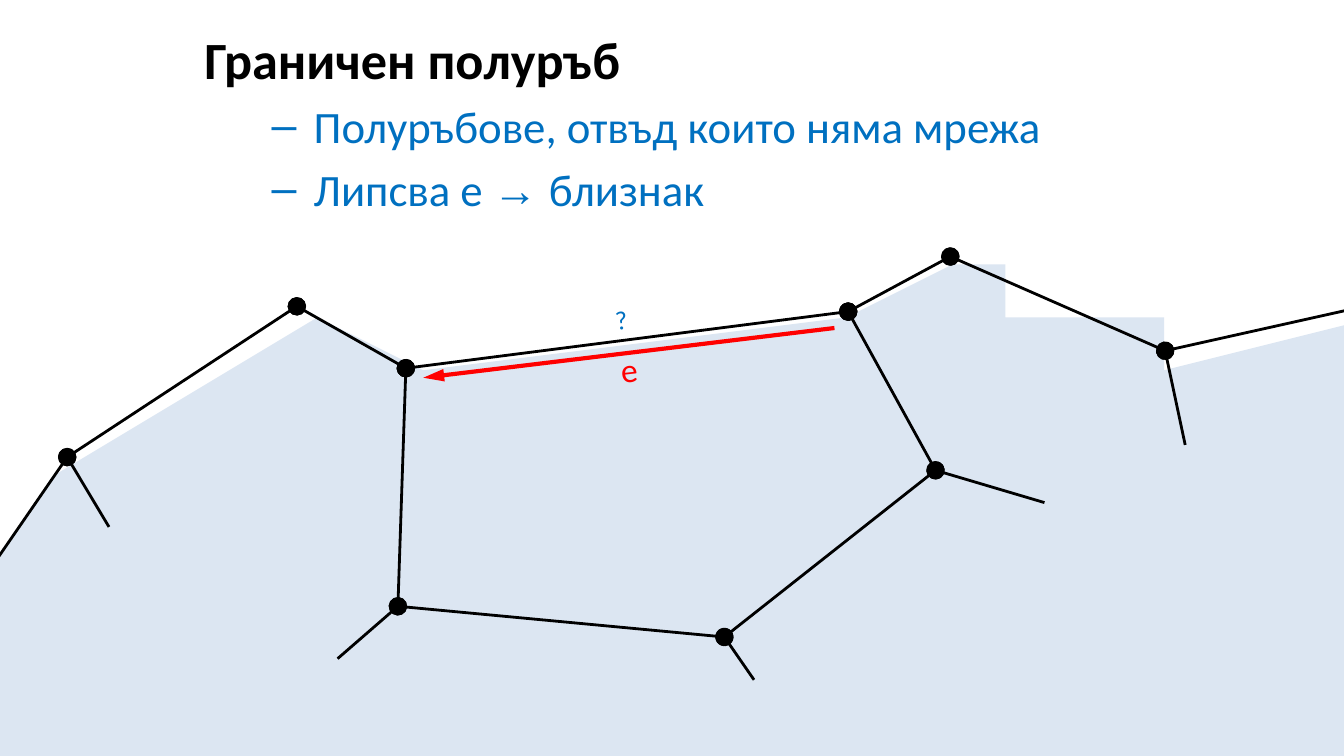
import lxml.etree
import pptx
import pptx.dml.color
import pptx.enum.text
import pptx.oxml.ns
import pptx.util

Cm, Pt = pptx.util.Cm, pptx.util.Pt
qn = pptx.oxml.ns.qn

COLORS = {"heading": "000000", "text": "0070C0", "mesh": "DCE6F2",
          "edge": "000000", "half_edge": "FF0000"}

# Mesh vertices, in cm
VERTICES = {
    "far_left": (-1.07, 12.04), "left": (1.27, 8.64), "left_peak": (5.61, 5.79),
    "face_left": (7.67, 6.96), "face_right": (16.03, 5.89),
    "right_peak": (17.96, 4.85), "right": (22.02, 6.63), "far_right": (26.01, 5.74),
    "inner_right": (17.68, 8.89), "inner_bottom": (13.69, 12.04),
    "inner_left": (7.52, 11.46),
}
BOUNDARY = ["far_left", "left", "left_peak", "face_left", "face_right",
            "right_peak", "right", "far_right"]
INNER_PATH = ["face_right", "inner_right", "inner_bottom", "inner_left", "face_left"]
# Edges that fade out inside the mesh: start vertex and free end
STUBS = {"left": (2.06, 9.96), "inner_left": (6.38, 12.45),
         "inner_bottom": (14.25, 12.85), "inner_right": (19.74, 9.5),
         "right": (22.4, 8.41)}


def rgb(name):
    return pptx.dml.color.RGBColor.from_string(COLORS[name])


def style_run(run, size, color, font="Calibri", bold=False):
    run.font.size = Pt(size)
    run.font.name = font
    run.font.bold = bold
    run.font.color.rgb = rgb(color)


def curve(start, control_1, control_2, end, steps=16):
    """Points of a cubic curve, without its start."""
    points = []
    for step in range(1, steps + 1):
        t = step / steps
        weights = ((1 - t) ** 3, 3 * t * (1 - t) ** 2, 3 * t * t * (1 - t), t ** 3)
        corners = (start, control_1, control_2, end)
        points.append(tuple(sum(w * c[axis] for w, c in zip(weights, corners))
                            for axis in (0, 1)))
    return points


def add_line(slide, start, end, color="edge", width=1.5, ends=()):
    """ends holds (tag, type, width, length) for each line end."""
    line = slide.shapes.add_connector(
        pptx.enum.shapes.MSO_CONNECTOR.STRAIGHT, *(Cm(v) for v in start + end))
    line.line.color.rgb = rgb(color)
    line.line.width = Pt(width)
    outline = line.line._get_or_add_ln()
    for tag, kind, across, length in ends:
        lxml.etree.SubElement(outline, qn(tag), type=kind, w=across, len=length)
    lxml.etree.SubElement(line._element.spPr, qn("a:effectLst"))


def add_edges(slide, names):
    dots = [(tag, "oval", "lg", "lg") for tag in ("a:headEnd", "a:tailEnd")]
    for first, second in zip(names, names[1:]):
        add_line(slide, VERTICES[first], VERTICES[second], ends=dots)


def add_mesh_region(slide):
    corner = (25.55, 14.6)
    outline = [VERTICES[name] for name in BOUNDARY[1:6]]
    outline += curve(outline[-1], (18.9, 5.28), (20.27, 5.87), VERTICES["right"])
    outline.append(VERTICES["far_right"])
    outline += curve(outline[-1], (26.59, 7.09), (29.69, 13.64), corner)
    outline.append((-2.87, 14.73))
    builder = slide.shapes.build_freeform(*outline[0], scale=float(Cm(1)))
    builder.add_line_segments(outline[1:], close=True)
    region = builder.convert_to_shape()
    region.shadow.inherit = False
    region.fill.solid()
    region.fill.fore_color.rgb = rgb("mesh")
    region.line.fill.background()


def add_label(slide, text, box, size, color, rotation):
    label = slide.shapes.add_textbox(*(Cm(v) for v in box))
    label.rotation = rotation
    label.text_frame.word_wrap = False
    label.text_frame.text = text
    style_run(label.text_frame.paragraphs[0].runs[0], size, color)


def fill_body(body):
    body.left, body.top, body.width, body.height = (
        Cm(v) for v in (3.61, 0.38, 21.79, 13.13))
    frame = body.text_frame
    frame.auto_size = pptx.enum.text.MSO_AUTO_SIZE.NONE

    # Heading line, without bullet or indent
    frame.text = "Граничен полуръб"
    heading = frame.paragraphs[0]
    heading.space_before = Pt(0)
    properties = heading._p.get_or_add_pPr()
    properties.set("marL", "0")
    properties.set("indent", "0")
    lxml.etree.SubElement(properties, qn("a:buNone"))
    style_run(heading.runs[0], 28, "heading", bold=True)

    # Second-level points
    points = [
        [("Полуръбове, отвъд които няма мрежа", "Calibri")],
        [("Липсва е ", "Calibri"), ("→ ", "Times New Roman"), ("близнак", "Calibri")],
    ]
    for parts in points:
        point = frame.add_paragraph()
        point.level = 1
        for text, font in parts:
            run = point.add_run()
            run.text = text
            style_run(run, 24, "text", font)


def main():
    deck = pptx.Presentation()
    deck.slide_width, deck.slide_height = Cm(25.4), Cm(14.29)
    slide = deck.slides.add_slide(deck.slide_layouts[1])

    # Heading and points share the body placeholder
    title = slide.shapes.title._element
    title.getparent().remove(title)
    fill_body(slide.placeholders[1])

    # Mesh
    add_mesh_region(slide)
    add_edges(slide, BOUNDARY)
    add_edges(slide, INNER_PATH)
    for name, free_end in STUBS.items():
        add_line(slide, VERTICES[name], free_end)

    # Boundary half-edge and its missing twin
    add_line(slide, (15.77, 6.2), (8.0, 7.14), "half_edge", 2.25,
             [("a:tailEnd", "triangle", "med", "lg")])
    add_label(slide, "e", (11.48, 6.48, 0.84, 1.02), 18, "half_edge", 353.6)
    add_label(slide, "?", (11.38, 5.61, 0.74, 0.86), 14, "text", 352.6)

    deck.save("out.pptx")


if __name__ == "__main__":
    import pptx.enum.shapes
    main()
